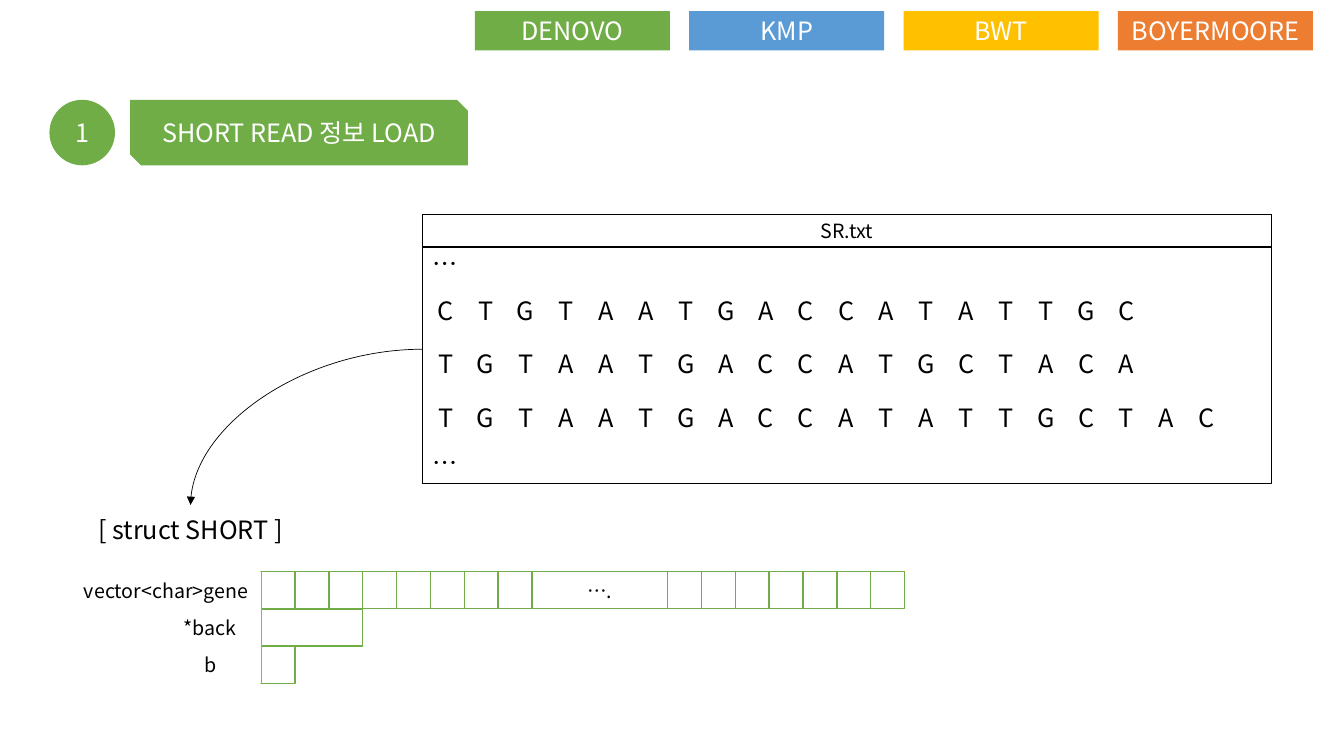
"""Build the slide that shows how short reads are loaded into a struct."""
from dataclasses import dataclass
from typing import Optional

from lxml import etree
from pptx import Presentation
from pptx.dml.color import RGBColor
from pptx.enum.shapes import MSO_CONNECTOR, MSO_SHAPE
from pptx.enum.text import MSO_ANCHOR, PP_ALIGN
from pptx.oxml.ns import qn
from pptx.util import Inches, Pt

RECT, OVAL = MSO_SHAPE.RECTANGLE, MSO_SHAPE.OVAL
SNIP = MSO_SHAPE.SNIP_2_DIAG_RECTANGLE
CURVE = MSO_CONNECTOR.CURVE
CENTER, LEFT = PP_ALIGN.CENTER, PP_ALIGN.LEFT
MIDDLE = MSO_ANCHOR.MIDDLE

WIDTH, HEIGHT = Inches(13.33), Inches(7.5)
FONT = "Noto Sans CJK KR"
COLORS = {
    "green": "70AD47", "blue": "5B9BD5", "yellow": "FFC000",
    "orange": "ED7D31", "white": "FFFFFF", "black": "000000",
}


@dataclass(frozen=True)
class Grid:
    left: float = 0
    top: float = 0
    col: float = 1
    row: float = 1

    def at(self, col: float, row: float) -> tuple[int, int]:
        x, y = self.left + col * self.col, self.top + row * self.row
        return int(WIDTH * x / 100), int(HEIGHT * y / 100)

    def box(self, col: float, row: float, cols: float, rows: float) -> tuple[int, ...]:
        size = int(WIDTH * cols * self.col / 100), int(HEIGHT * rows * self.row / 100)
        return *self.at(col, row), *size


@dataclass(frozen=True)
class Block:
    grid: Grid
    col: float
    row: float
    cols: float
    rows: float = 1
    text: str = ""
    fill: Optional[str] = "white"
    line: Optional[str] = None
    color: str = "black"
    size: int = 18
    align: PP_ALIGN = CENTER
    shape: Optional[MSO_SHAPE] = RECT


PAGE = Grid()
TABS = Grid(35.33, 1.47, 15.95, 5.2)
MEMORY = Grid(19.43, 75.6, 2.52, 4.93)
READS = Grid(31.66, 37.73, 2.98, 7.07)
FRAME = Grid(31.43, 28.4, 63.17, 35.6)

TAB_COLORS = {"DENOVO": "green", "KMP": "blue", "BWT": "yellow", "BOYERMOORE": "orange"}
READ_LINES = ("CTGTAATGACCATATTGC", "TGTAATGACCATGCTACA", "TGTAATGACCATATTGCTAC")
GENE_CELLS = [(c, 1, "") for c in range(8)] + [(8, 4, "….")] + [(c, 1, "") for c in range(12, 19)]
MEMORY_CELLS = [(c, 0, w, t) for c, w, t in GENE_CELLS] + [(0, 1, 3, ""), (0, 2, 1, "")]
MEMORY_LABELS = (("vector<char>gene", 5.6), ("*back", 3), ("b", 3))


def color(name: str) -> RGBColor:
    return RGBColor.from_string(COLORS[name])


def draw_block(s, b: Block) -> None:
    box = b.grid.box(b.col, b.row, b.cols, b.rows)
    if b.shape is None:
        sp = s.shapes.add_textbox(*box)
    else:
        sp = s.shapes.add_shape(b.shape, *box)
        sp.shadow.inherit = False
    for part, name in ((sp.fill, b.fill), (sp.line.fill, b.line)):
        if name:
            part.solid()
            part.fore_color.rgb = color(name)
        else:
            part.background()
    if b.line:
        sp.line.width = Pt(1)
    if b.text:
        write(sp.text_frame, b)


def write(tf, b: Block) -> None:
    for name, value in {"word_wrap": True, "vertical_anchor": MIDDLE}.items():
        setattr(tf, name, value)
    p = tf.paragraphs[0]
    p.alignment = b.align
    r = p.add_run()
    r.text = b.text
    for name, value in {"name": FONT, "size": Pt(b.size)}.items():
        setattr(r.font, name, value)
    r.font.color.rgb = color(b.color)
    etree.SubElement(r._r.get_or_add_rPr(), qn("a:ea"), typeface=FONT)


def draw_arrow(s, start: tuple[int, int], end: tuple[int, int]) -> None:
    cx = s.shapes.add_connector(CURVE, *start, *end)
    cx.line.color.rgb = color("black")
    cx.line.width = Pt(0.5)
    spPr = cx._element.spPr
    spPr.find(qn("a:prstGeom")).set("prst", "curvedConnector2")
    etree.SubElement(cx.line._get_or_add_ln(), qn("a:tailEnd"), type="triangle")
    etree.SubElement(spPr, qn("a:effectLst"))


def blocks() -> list[Block]:
    heading = {"fill": "green", "color": "white"}
    dots = {"text": "…", "fill": None, "align": LEFT, "shape": None}
    outline = {"fill": None, "line": "black"}
    return [
        Block(PAGE, 3.68, 13.2, 4.88, 8.67, "1", shape=OVAL, **heading),
        Block(PAGE, 9.68, 13.2, 25.13, 8.67, "SHORT READ 정보 LOAD", shape=SNIP, **heading),
        *(Block(MEMORY, c, r, w, text=t, line="green", size=14) for c, r, w, t in MEMORY_CELLS),
        *(Block(MEMORY, -w, r, w, text=t, size=14) for r, (t, w) in enumerate(MEMORY_LABELS)),
        Block(PAGE, 4.05, 66.8, 20.25, 6.4, "[ struct SHORT ]"),
        *(Block(READS, c, r, 1, 0.94, base)
          for r, read in enumerate(READ_LINES) for c, base in enumerate(read)),
        Block(FRAME, 0, 0, 1, **outline),
        Block(FRAME, 0, 0, 1, 0.12, "SR.txt", size=14, **outline),
        *(Block(FRAME, 0, r, 1, 0.12, **dots) for r in (0.12, 0.86)),
        *(Block(TABS, c, 0, 0.91, text=t, fill=name, color="white")
          for c, (t, name) in enumerate(TAB_COLORS.items())),
    ]


def main() -> None:
    prs = Presentation()
    prs.slide_width, prs.slide_height = WIDTH, HEIGHT
    s = prs.slides.add_slide(prs.slide_layouts[6])
    for b in blocks():
        draw_block(s, b)
    draw_arrow(s, FRAME.at(0, 0.5), PAGE.at(14.18, 66.8))
    prs.save("out.pptx")


if __name__ == "__main__":
    main()
